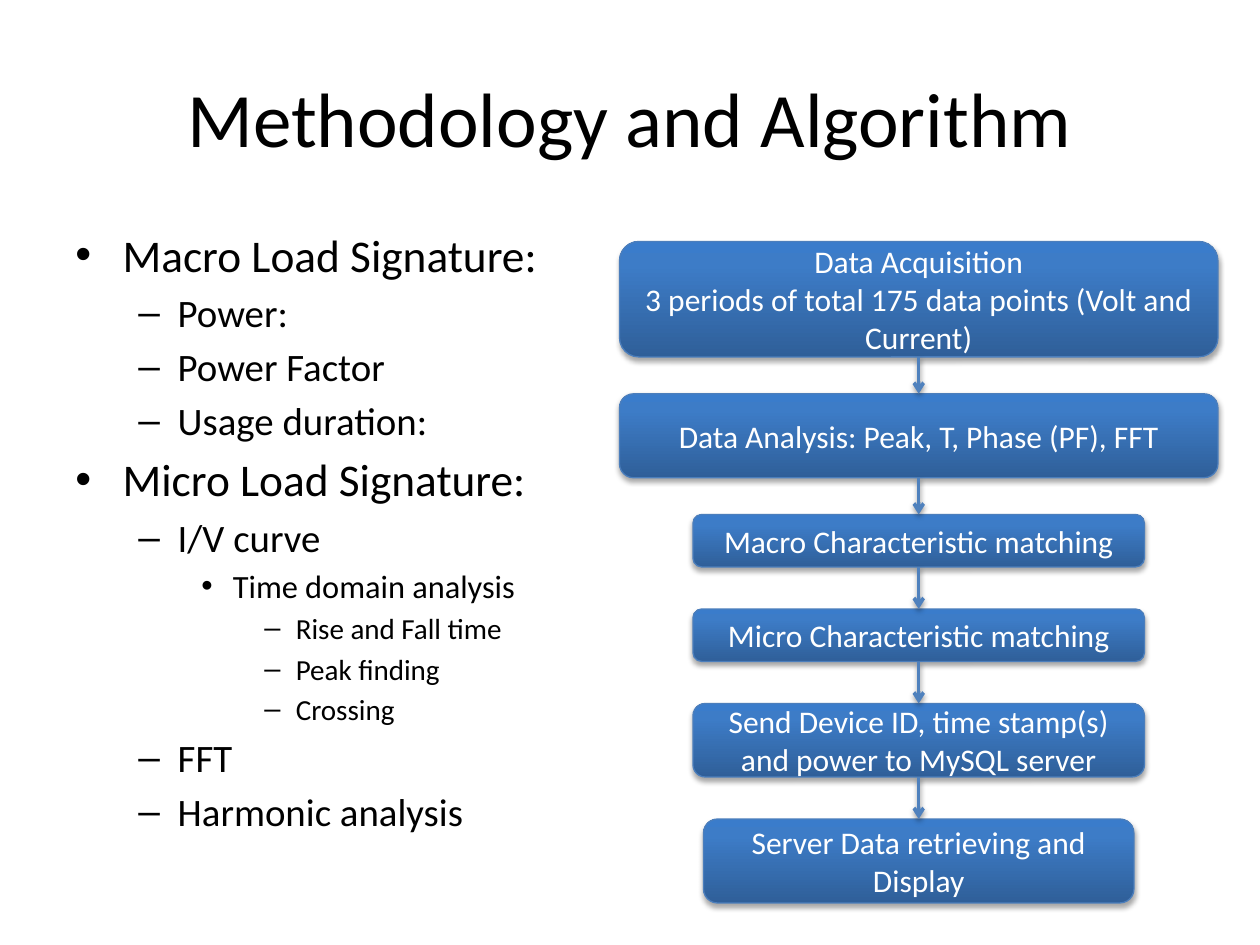
from copy import deepcopy

from pptx import Presentation
from pptx import util as u
from pptx.dml.color import RGBColor
from pptx.enum import shapes, text
from pptx.oxml import ns, xmlchemy

Pt = u.Pt
BLACK = RGBColor(0x00, 0x00, 0x00)
WHITE = RGBColor(0xFF, 0xFF, 0xFF)
STEP_EDGE = RGBColor(0x4B, 0x7E, 0xBC)
ARROW_BLUE = RGBColor(0x4F, 0x81, 0xBD)
STEP_GRADIENT = [
    (0, RGBColor(0x2F, 0x5F, 0x99)),
    (0.8, RGBColor(0x3D, 0x7C, 0xC7)),
    (1, RGBColor(0x3A, 0x7C, 0xCB)),
]

TITLE = "Methodology and Algorithm"
SIGNATURES = [
    (0, "Macro Load Signature:"),
    (1, "Power:"),
    (1, "Power Factor"),
    (1, "Usage duration:"),
    (0, "Micro Load Signature:"),
    (1, "I/V curve"),
    (2, "Time domain analysis"),
    (3, "Rise and Fall time"),
    (3, "Peak finding"),
    (3, "Crossing"),
    (1, "FFT"),
    (1, "Harmonic analysis"),
]
LEVELS = [
    {"size": 25.9, "margin": 27, "hang": 27, "bullet": "•"},
    {"size": 22.2, "margin": 58.5, "hang": 22.5, "bullet": "–"},
    {"size": 18.5, "margin": 90, "hang": 18, "bullet": "•"},
    {"size": 16.6, "margin": 126, "hang": 18, "bullet": "–"},
]
STEPS = [
    ("Data Acquisition\n3 periods of total 175 data points (Volt and Current)", 342, 66, 21),
    ("Data Analysis: Peak, Τ, Phase (PF), FFT", 342, 48, 21),
    ("Macro Characteristic matching", 258, 30, 24),
    ("Micro Characteristic matching", 258, 30, 24),
    ("Send Device ID, time stamp(s) and power to MySQL server", 258, 42, 24),
    ("Server Data retrieving and Display", 246, 48, 0),
]


def set_format(target, formats):
    """Set each named attribute of the target."""
    for name, value in formats.items():
        setattr(target, name, value)


def add_element(parent, tag, **attributes):
    """Append a drawing element with attributes and return it."""
    element = xmlchemy.OxmlElement(tag)
    for name, value in attributes.items():
        element.set(name, str(value))
    parent.append(element)
    return element


def format_text(paragraph, size, color, align):
    """Style a paragraph and its runs."""
    paragraph.alignment = align
    for run in paragraph.runs:
        set_format(run.font, {"name": "Calibri", "size": Pt(size)})
        run.font.color.rgb = color


def add_shadow(properties, distance, opacity):
    """Give shape properties a soft shadow straight below."""
    effects = properties.find(ns.qn("a:effectLst"))
    if effects is None:
        effects = add_element(properties, "a:effectLst")
    shadow = add_element(effects, "a:outerShdw", blurRad=Pt(3.1), dist=Pt(distance),
                         dir=90 * 60000, rotWithShape=0)
    color = add_element(shadow, "a:srgbClr", val=BLACK)
    add_element(color, "a:alpha", val=opacity * 1000)


def place_title(slide, left, top, width, height):
    """Place the slide title."""
    title = slide.shapes.title
    set_format(title, {"left": Pt(left), "top": Pt(top),
                       "width": Pt(width), "height": Pt(height)})
    title.text_frame.text = TITLE
    title.text_frame.vertical_anchor = text.MSO_ANCHOR.MIDDLE
    format_text(title.text_frame.paragraphs[0], 44, BLACK, text.PP_ALIGN.CENTER)


def place_signatures(slide, left, top, width, height):
    """Place the outline of load signatures."""
    outline = slide.shapes.add_textbox(Pt(left), Pt(top), Pt(width), Pt(height)).text_frame
    outline.word_wrap = True
    outline.text = "\n".join(wording for _, wording in SIGNATURES)
    for index, (depth, _) in enumerate(SIGNATURES):
        entry, level = outline.paragraphs[index], LEVELS[depth]
        entry.level = depth
        margins = entry._p.get_or_add_pPr()
        margins.set("marL", str(Pt(level["margin"])))
        margins.set("indent", str(-Pt(level["hang"])))
        add_element(margins, "a:buFont", typeface="Arial")
        add_element(margins, "a:buChar", char=level["bullet"])
        if index:
            entry.space_before = Pt(round(level["size"] * 0.19, 1))
        format_text(entry, level["size"], BLACK, text.PP_ALIGN.LEFT)


def add_step(slide, wording, left, top, width, height):
    """Add one rounded step of the flow."""
    step = slide.shapes.add_shape(shapes.MSO_SHAPE.ROUNDED_RECTANGLE,
                                  Pt(left), Pt(top), Pt(width), Pt(height))
    step.fill.gradient()
    step.fill.gradient_angle = 90
    stops = step._element.spPr.find(".//" + ns.qn("a:gsLst"))
    stops.append(deepcopy(stops[0]))
    for stop, (position, color) in zip(step.fill.gradient_stops, STEP_GRADIENT):
        stop.position = position
        stop.color.rgb = color
    step.line.color.rgb = STEP_EDGE
    step.line.width = Pt(0.75)
    step.shadow.inherit = False
    add_shadow(step._element.spPr, 1.8, 35)
    set_format(step.text_frame, {"text": wording, "word_wrap": True,
                                 "vertical_anchor": text.MSO_ANCHOR.MIDDLE})
    for paragraph in step.text_frame.paragraphs:
        format_text(paragraph, 18, WHITE, text.PP_ALIGN.CENTER)
    return step


def add_arrow(slide, upper, lower):
    """Join the bottom of one step to the top of the next."""
    arrow = slide.shapes.add_connector(shapes.MSO_CONNECTOR.STRAIGHT, 0, 0, 0, 0)
    arrow.begin_connect(upper, 2)
    arrow.end_connect(lower, 0)
    arrow.line.color.rgb = ARROW_BLUE
    arrow.line.width = Pt(2)
    add_element(arrow.line._get_or_add_ln(), "a:tailEnd", type="arrow")
    add_shadow(arrow._element.spPr, 1.6, 38)


def place_flow(slide, left, top, width):
    """Place the centred column of steps and the arrows between them."""
    previous = None
    for wording, step_width, height, gap in STEPS:
        step = add_step(slide, wording, left + (width - step_width) / 2, top, step_width, height)
        if previous is not None:
            add_arrow(slide, previous, step)
        previous = step
        top += height + gap


def main():
    """Build and save the slide."""
    deck = Presentation()
    set_format(deck, {"slide_width": Pt(720), "slide_height": Pt(540)})
    slide = deck.slides.add_slide(deck.slide_layouts.get_by_name("Title Only"))
    place_title(slide, 36, 21.6, 648, 90)
    place_signatures(slide, 36, 126, 318, 356.4)
    place_flow(slide, 354, 138, 342)
    deck.save("out.pptx")


if __name__ == "__main__":
    main()
